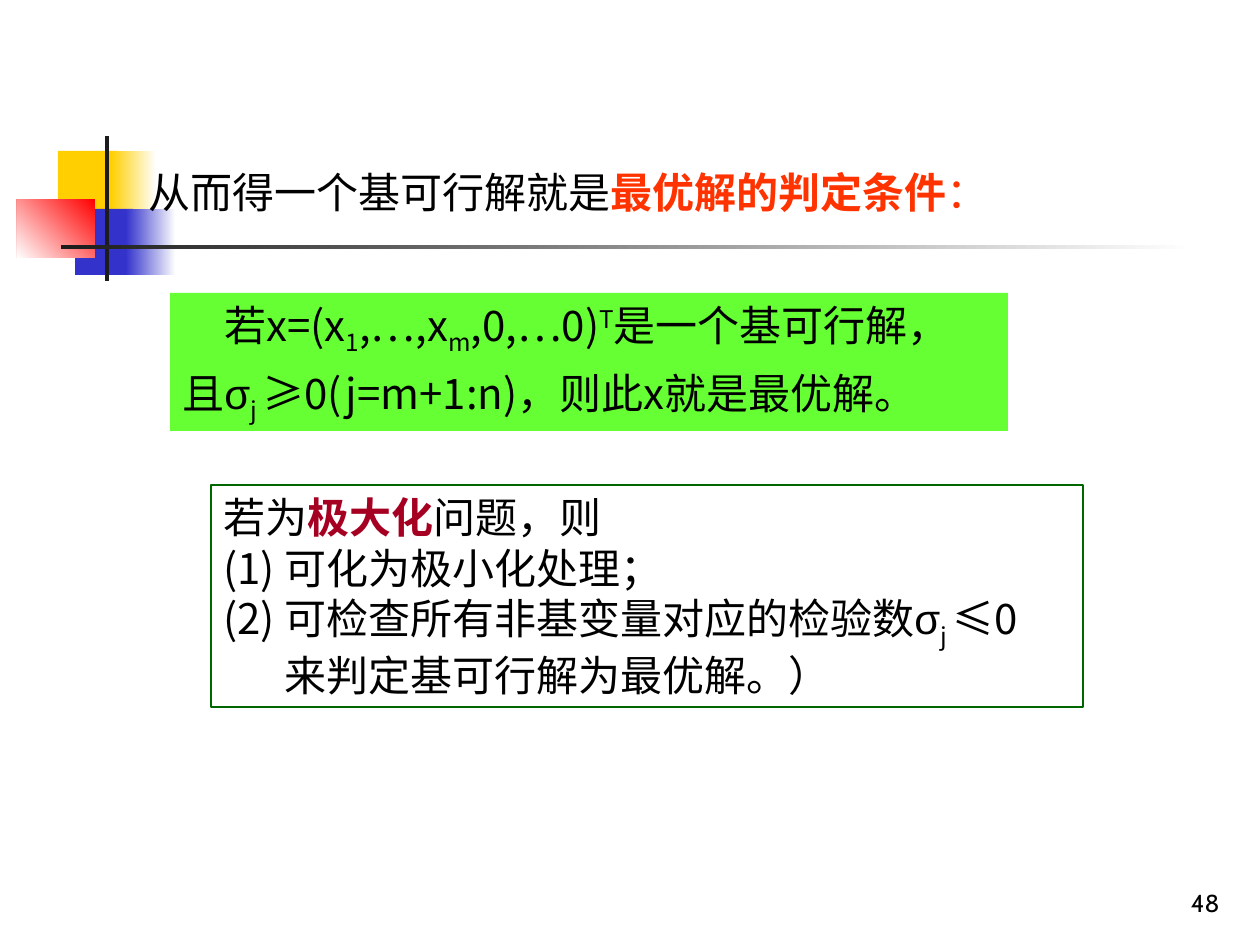
from lxml.etree import SubElement
from pptx import Presentation
from pptx.dml.color import RGBColor
from pptx.enum.shapes import MSO_SHAPE as Shape
from pptx.enum.text import MSO_ANCHOR as Anchor, PP_ALIGN as Align
from pptx.oxml.ns import qn
from pptx.util import Pt

EMU_PER_PX = 914400 / 126
BODY_FONT, GREEK_FONT, NUMBER_FONT = "Noto Sans CJK SC", "Arial", "Cabin"

BLACK = RGBColor(0x00, 0x00, 0x00)
WHITE = RGBColor(0xFF, 0xFF, 0xFF)
INK = RGBColor(0x1C, 0x1C, 0x1C)
YELLOW = RGBColor(0xFF, 0xCF, 0x01)
BLUE = RGBColor(0x33, 0x33, 0xCC)
RED = RGBColor(0xFF, 0x00, 0x00)
ORANGE = RGBColor(0xFF, 0x33, 0x00)
CRIMSON = RGBColor(0xA5, 0x00, 0x21)
LIME = RGBColor(0x66, 0xFF, 0x33)
DARK_GREEN = RGBColor(0x00, 0x66, 0x00)

# Box in px, then a colour or (start, end, counter-clockwise angle)
ORNAMENTS = [
    ((58, 151, 60, 66), YELLOW),
    ((111, 151, 45, 66), (YELLOW, WHITE, 0)),
    ((75, 209, 58, 66), BLUE),
    ((126, 209, 50, 66), (BLUE, WHITE, 0)),
    ((17, 199, 78, 59), (RED, WHITE, 225)),
    ((105, 136, 4, 145), INK),
    ((61, 245, 1134, 4), (INK, WHITE, 0)),
]

# Run styles, laid over the body style
PLAIN = {}
SUB = {"baseline": -25000}
SUPER = {"baseline": 30000}
GREEK = {"name": GREEK_FONT}
KEY_ORANGE = {"color": ORANGE, "bold": True}
KEY_CRIMSON = {"color": CRIMSON, "bold": True}

# Each paragraph: first-line indent in px, then its runs
TITLE = [(0, [("从而得一个基可行解就是", PLAIN), ("最优解的判定条件", KEY_ORANGE),
              ("：", {"color": ORANGE})])]
CONDITION = [
    (42, [("若x=(x", PLAIN), ("1", SUB), (",…,x", PLAIN), ("m", SUB),
          (",0,…0)", PLAIN), ("T", SUPER), ("是一个基可行解，", PLAIN)]),
    (0, [("且", PLAIN), ("σ", GREEK), ("j ", SUB),
         ("≥0(j=m+1:n)，则此x就是最优解。", PLAIN)]),
]
MAXIMIZATION = [
    (0, [("若为", PLAIN), ("极大化", KEY_CRIMSON), ("问题，则", PLAIN)]),
    (0, [("(1) 可化为极小化处理；", PLAIN)]),
    (0, [("(2) 可检查所有非基变量对应的检验数", PLAIN), ("σ", GREEK),
         ("j ", SUB), ("≤0", PLAIN)]),
    (61, [("来判定基可行解为最优解。）", PLAIN)]),
]
PAGE_NUMBER = [(0, [("48", {"name": NUMBER_FONT, "size": Pt(14)})])]


def px(value):
    return round(value * EMU_PER_PX)


def add_rectangle(slide, box, fill=None, line=None):
    """Add a rectangle; fill is a colour, a gradient tuple or None."""
    shape = slide.shapes.add_shape(Shape.RECTANGLE, *map(px, box))
    shape.shadow.inherit = False
    if fill is None:
        shape.fill.background()
    elif isinstance(fill, RGBColor):
        shape.fill.solid()
        shape.fill.fore_color.rgb = fill
    else:
        *colors, angle = fill
        shape.fill.gradient()
        shape.fill.gradient_angle = angle
        for stop, color in zip(shape.fill.gradient_stops, colors):
            stop.color.rgb = color
    if line is None:
        shape.line.fill.background()
    else:
        shape.line.color.rgb = line
        shape.line.width = Pt(0.75)
    return shape


def add_run(paragraph, text, style):
    look = {"name": BODY_FONT, "size": Pt(24), "bold": False, "color": BLACK, **style}
    baseline = look.pop("baseline", 0)
    run = paragraph.add_run()
    run.text = text
    run.font.color.rgb = look.pop("color")
    for attribute, value in look.items():
        setattr(run.font, attribute, value)
    properties = run.font._element
    SubElement(properties, qn("a:ea"), typeface=look["name"])
    if baseline:
        properties.set("baseline", str(baseline))


def write(shape, paragraphs, align=Align.LEFT, anchor=Anchor.MIDDLE, gap=0):
    frame = shape.text_frame
    frame.word_wrap = True
    frame.vertical_anchor = anchor
    for index, (indent, runs) in enumerate(paragraphs):
        paragraph = frame.add_paragraph() if index else frame.paragraphs[0]
        paragraph.alignment = align
        paragraph.space_before = Pt(gap if index else 0)
        if indent:
            paragraph._p.get_or_add_pPr().set("indent", str(px(indent)))
        for text, style in runs:
            add_run(paragraph, text, style)


def main():
    presentation = Presentation()
    presentation.slide_width, presentation.slide_height = px(1260), px(945)
    slide = presentation.slides.add_slide(presentation.slide_layouts[5])

    for box, fill in ORNAMENTS:
        add_rectangle(slide, box, fill)

    title = slide.shapes.title
    title.left, title.top, title.width, title.height = map(px, (136, 160, 870, 63))
    slide.shapes._spTree.append(title._element)  # in front of the ornaments
    write(title, TITLE)

    write(add_rectangle(slide, (170, 293, 838, 138), LIME), CONDITION, gap=6)
    write(add_rectangle(slide, (211, 485, 872, 222), line=DARK_GREEN), MAXIMIZATION)

    number = slide.shapes.add_textbox(*map(px, (970, 861, 262, 63)))
    write(number, PAGE_NUMBER, Align.RIGHT, Anchor.BOTTOM)

    presentation.save("out.pptx")


if __name__ == "__main__":
    main()
